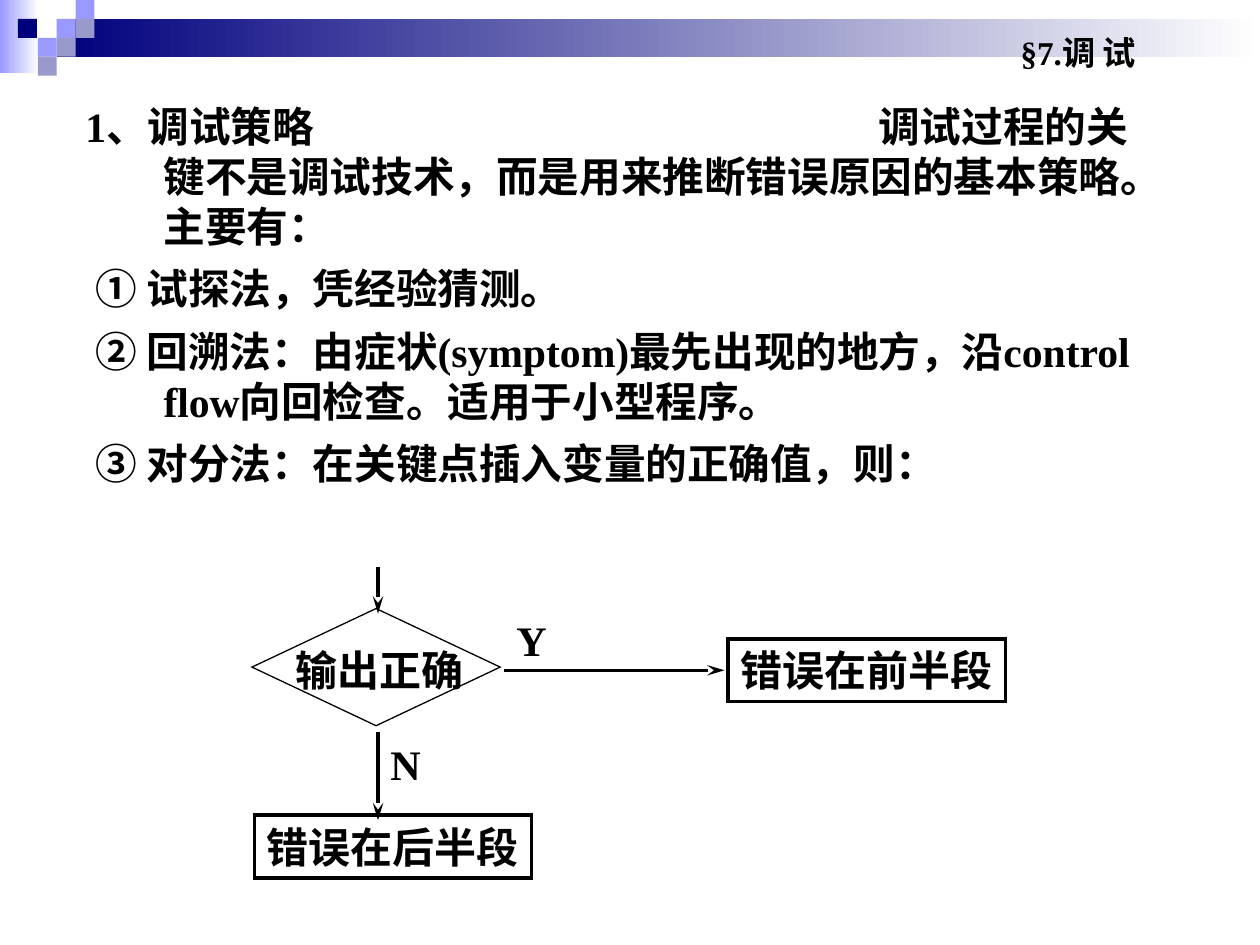
import pptx
import pptx.util
import pptx.dml.color
import pptx.enum.shapes
import pptx.enum.text
from lxml import etree
from pptx.oxml.ns import qn

Inches = pptx.util.Inches
Pt = pptx.util.Pt
SHAPE = pptx.enum.shapes.MSO_SHAPE
ANCHOR = pptx.enum.text.MSO_ANCHOR
ALIGN = pptx.enum.text.PP_ALIGN

HUES = {"ink": "000000", "navy": "00007D", "blue": "9999FF",
        "grey": "9999CC", "white": "FFFFFF"}
LATIN, ASIAN = "Times New Roman", "Noto Sans CJK SC"

# Runs of each paragraph; a lone space is the wide gap
POINTS = [
    ["1、调试策略", " ",
     "调试过程的关键不是调试技术，而是用来推断错误原因的基本策略。主要有："],
    ["① 试探法，凭经验猜测。"],
    ["② 回溯法：由症状(symptom)最先出现的地方，沿control flow向回检查。适用于小型程序。"],
    ["③ 对分法：在关键点插入变量的正确值，则："],
]


def hue(name):
    return pptx.dml.color.RGBColor.from_string(HUES[name])


def style(para, size, line=None):
    """Bold black text, with a Latin and an East Asian font."""
    font = para.font
    font.name, font.size, font.bold = LATIN, Pt(size), True
    font.color.rgb = hue("ink")
    props = para._p.pPr.find(qn("a:defRPr"))
    etree.SubElement(props, qn("a:ea"), typeface=ASIAN)
    para.alignment = ALIGN.LEFT
    if line:
        para.line_spacing = Pt(line)


def block(slide, kind, x, y, w, h):
    shape = slide.shapes.add_shape(
        kind, Inches(x), Inches(y), Inches(w), Inches(h))
    shape.shadow.inherit = False
    return shape


def frame(slide, kind, x, y, w, h, weight):
    shape = block(slide, kind, x, y, w, h)
    shape.fill.background()
    shape.line.color.rgb = hue("ink")
    shape.line.width = Pt(weight)
    # Sharp corners
    etree.SubElement(shape.line._get_or_add_ln(), qn("a:miter"), lim="800000")
    return shape


def label(slide, text, x, y, w, h=0.5):
    box = slide.shapes.add_textbox(Inches(x), Inches(y), Inches(w), Inches(h))
    box.text_frame.word_wrap = True
    box.text_frame.text = text
    style(box.text_frame.paragraphs[0], 24, 28.8)


def result(slide, text, x, y):
    tf = frame(slide, SHAPE.RECTANGLE, x, y, 2.2, 0.5, 2).text_frame
    tf.word_wrap = False
    tf.vertical_anchor = ANCHOR.TOP
    tf.text = text
    style(tf.paragraphs[0], 24, 28.8)


def arrow(slide, x1, y1, x2, y2):
    line = slide.shapes.add_connector(
        pptx.enum.shapes.MSO_CONNECTOR.STRAIGHT,
        Inches(x1), Inches(y1), Inches(x2), Inches(y2))
    line.line.color.rgb = hue("ink")
    line.line.width = Pt(2)
    etree.SubElement(line.line._get_or_add_ln(), qn("a:tailEnd"),
                     type="stealth", w="med", len="lg")
    etree.SubElement(line._element.spPr, qn("a:effectLst"))


def banner(slide, x, y):
    # Fading bands
    for left, top, w, h, tone in [(0, 0, 0.31, 0.58, "blue"),
                                  (0.45, 0.15, 9.55, 0.3, "navy")]:
        band = block(slide, SHAPE.RECTANGLE, x + left, y + top, w, h)
        band.fill.gradient()
        band.fill.gradient_angle = 0
        for stop, name in zip(band.fill.gradient_stops, (tone, "white")):
            stop.color.rgb = hue(name)
        band.line.fill.background()

    # Checker squares: column, row, colour
    side = 0.15
    for col, row, tone in [(3, 1, "blue"), (4, 0, "blue"), (4, 1, "grey"),
                           (2, 2, "blue"), (0.95, 1, "navy"),
                           (3, 2, "grey"), (2, 3, "grey")]:
        tile = block(slide, SHAPE.RECTANGLE,
                     x + col * side, y + row * side, side, side)
        tile.fill.solid()
        tile.fill.fore_color.rgb = hue(tone)
        tile.line.fill.background()


def heading(slide, x, y, w, h):
    title = slide.shapes.title
    title.left, title.top = Inches(x), Inches(y)
    title.width, title.height = Inches(w), Inches(h)
    tf = title.text_frame
    tf.text = "§7.调 试"
    tf.vertical_anchor = ANCHOR.MIDDLE
    style(tf.paragraphs[0], 19)


def body(slide, x, y, w, h):
    box = slide.shapes.add_textbox(Inches(x), Inches(y), Inches(w), Inches(h))
    tf = box.text_frame
    tf.word_wrap = True
    for i, parts in enumerate(POINTS):
        para = tf.paragraphs[0] if i == 0 else tf.add_paragraph()
        for text in parts:
            run = para.add_run()
            run.text = text
            if text == " ":
                # Letter spacing, in hundredths of a point
                run._r.get_or_add_rPr().set("spc", "31700")
        props = para._p.get_or_add_pPr()
        props.set("marL", str(Inches(0.62)))
        props.set("indent", str(Inches(-0.54 if i else -0.62)))
        style(para, 23.8, 28.6)
        if i:
            para.space_before = Pt(7)


def flow(slide, x, y):
    # Decision
    frame(slide, SHAPE.DIAMOND, x, y + 0.33, 1.97, 0.93, 0.75)
    label(slide, "输出正确", x + 0.25, y + 0.57, 1.58)

    # Outcomes
    result(slide, "错误在前半段", x + 3.78, y + 0.57)
    result(slide, "错误在后半段", x + 0.02, y + 1.97)

    # Arrows and branch labels
    arrow(slide, x + 1, y, x + 1, y + 0.37)
    arrow(slide, x + 2, y + 0.82, x + 3.75, y + 0.82)
    arrow(slide, x + 1, y + 1.31, x + 1, y + 2.01)
    label(slide, "N", x + 1, y + 1.31, 0.42)
    label(slide, "Y", x + 2, y + 0.33, 0.42)


def main():
    deck = pptx.Presentation()
    deck.slide_width, deck.slide_height = Inches(10), Inches(7.5)
    slide = deck.slides.add_slide(deck.slide_layouts.get_by_name("Title Only"))
    banner(slide, 0, 0)
    # The title stands in front of the banner
    slide.shapes._spTree.append(slide.shapes.title._element)
    heading(slide, 8, 0.25, 1.75, 0.33)
    body(slide, 0.58, 0.75, 8.5, 3.67)
    flow(slide, 2, 4.5)
    deck.save("out.pptx")


if __name__ == "__main__":
    main()
